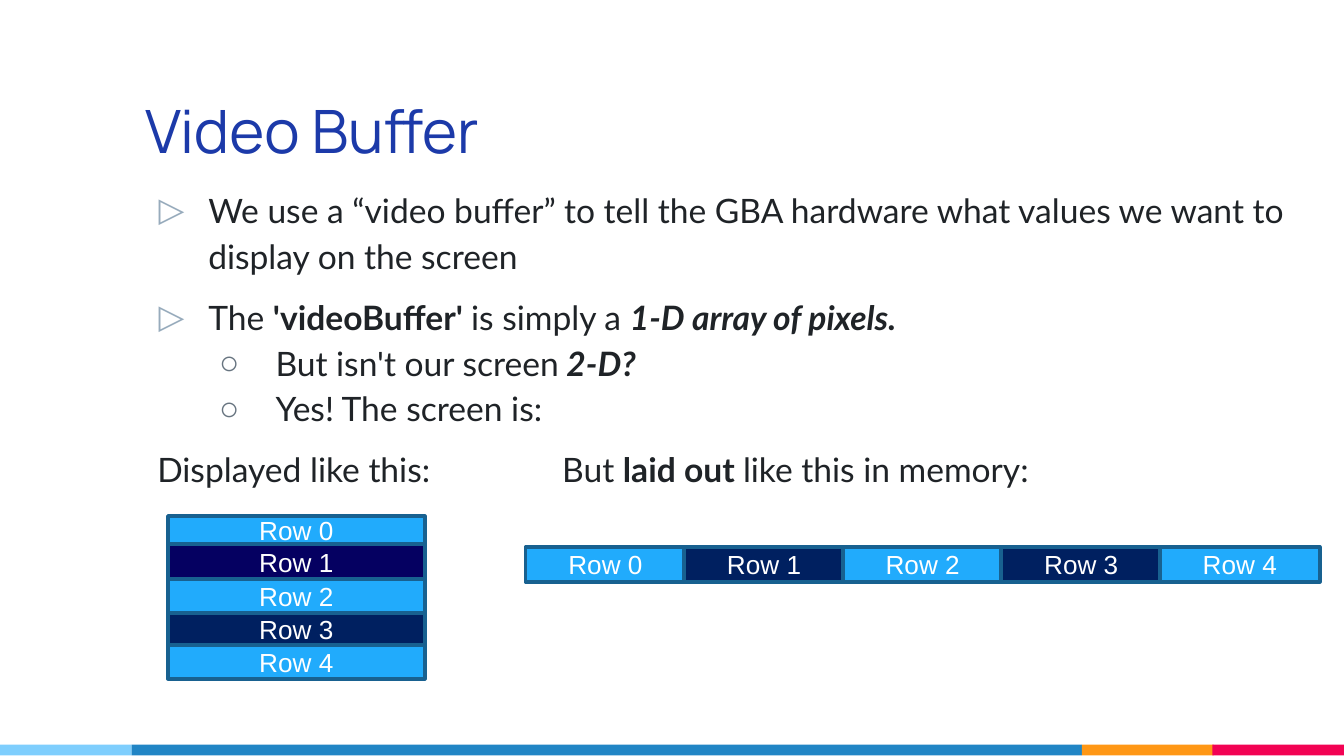
from dataclasses import dataclass

from lxml import etree
from pptx import Presentation
from pptx import util as u
from pptx.dml.color import RGBColor
from pptx.enum import shapes, text
from pptx.oxml import ns

LIGHT, NAVY, DEEP, EDGE = "21ABFC", "002060", "050061", "186190"
INK = "1F2327"
BOLD = {"bold": True}
STRONG = {"bold": True, "italic": True}
GAP = 66  # points of tracking between the two captions


@dataclass
class Box:
    left: float
    top: float
    width: float
    height: float
    fill: str
    label: str = ""


@dataclass
class Line:
    runs: list
    level: int = 0
    margin: float = 0.5
    indent: float = -0.37
    before: int = 8
    bullet: str = ""
    tint: str = ""


def color(value: str) -> RGBColor:
    return RGBColor.from_string(value)


def style(font, tint: str, **values) -> None:
    for name, value in values.items():
        setattr(font, name, value)
    font.color.rgb = color(tint)


def frame(shape, inset: float, anchor) -> None:
    values = {
        "margin_left": u.Inches(inset),
        "margin_right": u.Inches(inset),
        "margin_top": u.Inches(inset),
        "margin_bottom": u.Inches(inset),
        "vertical_anchor": anchor,
        "word_wrap": True,
        "auto_size": text.MSO_AUTO_SIZE.NONE,
    }
    for name, value in values.items():
        setattr(shape.text_frame, name, value)


def place(shape, *spot: float) -> None:
    for name, value in zip(("left", "top", "width", "height"), spot):
        setattr(shape, name, u.Inches(value))


def draw(slide, box: Box) -> None:
    """Add a filled rectangle; a labelled one also gets an outline."""
    spot = map(u.Inches, (box.left, box.top, box.width, box.height))
    shape = slide.shapes.add_shape(shapes.MSO_SHAPE.RECTANGLE, *spot)
    shape.shadow.inherit = False
    shape.fill.solid()
    shape.fill.fore_color.rgb = color(box.fill)
    if not box.label:
        shape.line.fill.background()
        return
    shape.line.color.rgb = color(EDGE)
    shape.line.width = u.Pt(2)
    frame(shape, 0, text.MSO_ANCHOR.MIDDLE)
    para = shape.text_frame.paragraphs[0]
    para.alignment = text.PP_ALIGN.CENTER
    run = para.add_run()
    run.text = box.label
    style(run.font, "FFFFFF", name="Arial", size=u.Pt(14))


def node(parent, tag: str, **values):
    return etree.SubElement(parent, ns.qn(tag), values)


def write(para, line: Line) -> None:
    para.level = line.level
    para.alignment = text.PP_ALIGN.LEFT
    para.line_spacing = 1.14
    para.space_before = u.Pt(line.before)
    para.space_after = u.Pt(0)
    props = para._p.get_or_add_pPr()
    props.set("marL", str(u.Inches(line.margin)))
    props.set("indent", str(u.Inches(line.indent)))
    if line.bullet:
        node(node(props, "a:buClr"), "a:srgbClr", val=line.tint)
        node(props, "a:buChar", char=line.bullet)
    else:
        node(props, "a:buNone")
    for words, values in line.runs:
        run = para.add_run()
        run.text = words
        style(run.font, INK, name="Lato", size=u.Pt(18), **values)
        if words == " ":
            run._r.get_or_add_rPr().set("spc", str(GAP * 100))


def point(*runs) -> Line:
    return Line(list(runs), bullet="▷", tint="97ABBC")


def sub(*runs) -> Line:
    return Line(list(runs), 1, 1, -0.42, 0, "○", "677480")


LINES = [
    point(("We use a “video buffer” to tell the GBA hardware what values "
           "we want to display on the screen", {})),
    point(("The ", {}), ("'videoBuffer' ", BOLD), ("is simply a ", {}),
          ("1-D array of pixels.", STRONG)),
    sub(("But isn't our screen", {}), (" 2-D?", STRONG)),
    sub(("Yes! The screen is:", {})),
    Line([("Displayed like this:", {}), (" ", {}), ("But ", {}),
          ("laid out ", BOLD), ("like this in memory:", {})],
         margin=0, indent=0.12),
]
BARS = [(0, 0.98, "7ECEFD"), (0.98, 7.07, "2185C5"),
        (8.05, 0.98, "FF9715"), (9.02, 0.98, "F20253")]
EDGES = [3.84, 4.05, 4.31, 4.56, 4.8, 5.05]
STACK = [LIGHT, DEEP, LIGHT, NAVY, LIGHT]
STRIP = [LIGHT, NAVY, LIGHT, NAVY, LIGHT]


def main() -> None:
    deck = Presentation()
    deck.slide_width = u.Inches(10)
    deck.slide_height = deck.slide_width * 9 // 16
    slide = deck.slides.add_slide(deck.slide_layouts[1])

    title, body = slide.placeholders
    place(title, 0.98, 0.39, 7.07, 0.94)
    frame(title, 0.1, text.MSO_ANCHOR.BOTTOM)
    head = title.text_frame.paragraphs[0]
    head.alignment = text.PP_ALIGN.LEFT
    run = head.add_run()
    run.text = "Video Buffer"
    style(run.font, "1C3AA9", name="Manrope", size=u.Pt(32))

    place(body, 0.98, 1.3, 8.97, 2.42)
    frame(body, 0.07, text.MSO_ANCHOR.TOP)
    for i, line in enumerate(LINES):
        paras = body.text_frame
        write(paras.add_paragraph() if i else paras.paragraphs[0], line)

    for left, width, fill in BARS:
        draw(slide, Box(left, 5.54, width, 0.08, fill))
    for i, fill in enumerate(STRIP):
        draw(slide, Box(3.91 + 1.18 * i, 4.07, 1.19, 0.26, fill, f"Row {i}"))
    for i, fill in enumerate(STACK):
        top, end = EDGES[i:i + 2]
        draw(slide, Box(1.25, top, 1.91, end - top, fill, f"Row {i}"))

    deck.save("out.pptx")


if __name__ == "__main__":
    main()
